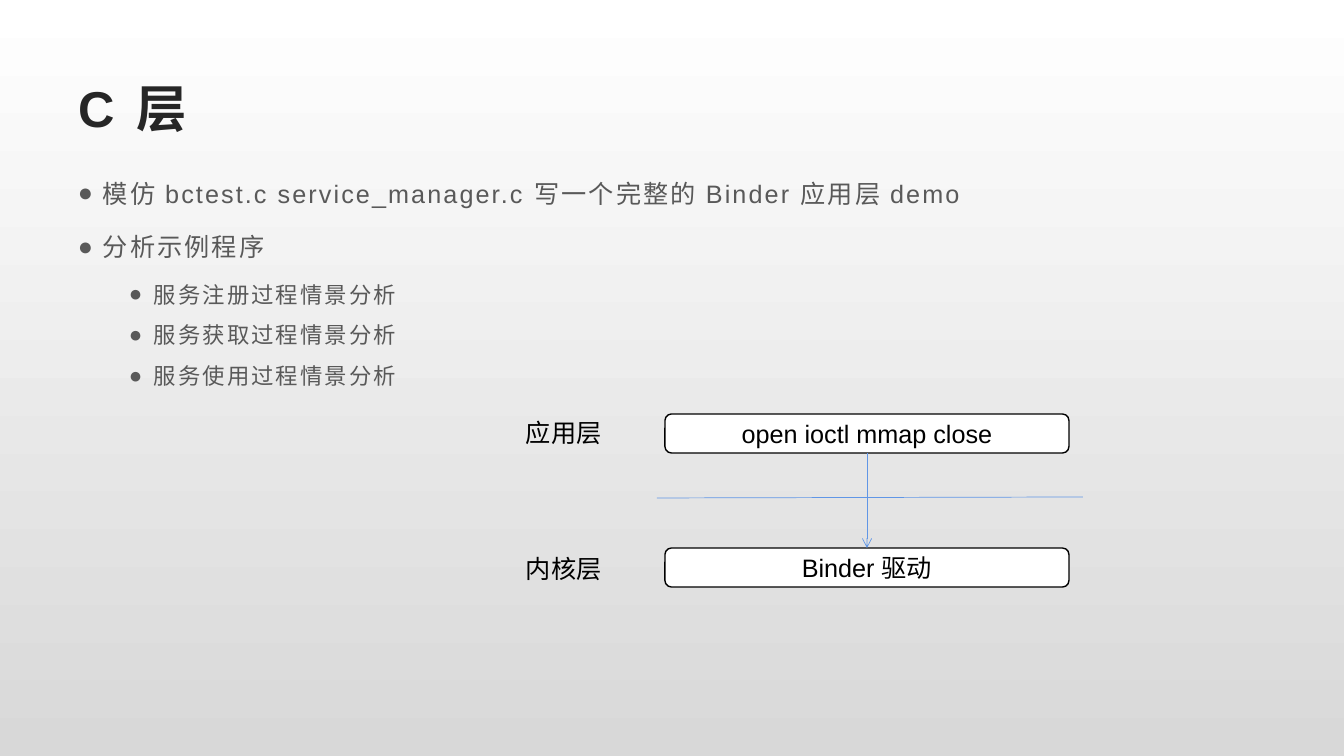
from lxml.etree import SubElement
from pptx import Presentation
from pptx.dml.color import RGBColor
from pptx.enum.shapes import MSO_CONNECTOR as Connector, MSO_SHAPE as Shape
from pptx.enum.text import MSO_ANCHOR as Anchor, MSO_AUTO_SIZE as AutoSize, PP_ALIGN as Align
from pptx.oxml.ns import qn
from pptx.util import Pt

TITLE = "C 层"
BULLETS = [
    (0, "模仿 bctest.c service_manager.c 写一个完整的 Binder 应用层 demo"),
    (0, "分析示例程序"),
    (1, "服务注册过程情景分析"),
    (1, "服务获取过程情景分析"),
    (1, "服务使用过程情景分析"),
]
# level: font size, line spacing, space after, left margin in px
LEVELS = {0: (18, 1.3, 10, 25), 1: (16, 1.2, 6, 76)}
HANGING = 25
# label, box text, label top, box top
LAYERS = [
    ("应用层", "open ioctl mmap close", 412, 414),
    ("内核层", "Binder 驱动", 548, 548),
]
LABEL_LEFT, LABEL_WIDTH, LABEL_HEIGHT = 516, 97, 40
BOX_LEFT, BOX_WIDTH, BOX_HEIGHT = 665, 404, 39
BOUNDARY = (657, 498, 1083, 497)

WHITE = RGBColor(0xFF, 0xFF, 0xFF)
BLACK = RGBColor(0, 0, 0)
SHADE = RGBColor(0xD8, 0xD8, 0xD8)
TITLE_COLOR = RGBColor(0x26, 0x26, 0x26)
BODY_COLOR = RGBColor(0x59, 0x59, 0x59)
LINE_COLOR = RGBColor(0x60, 0x96, 0xE6)
FONT = "Arial"
EMU_PER_PX = 914400 / 100.8


def px(*lengths):
    return [round(length * EMU_PER_PX) for length in lengths]


def write(paragraph, text, size=18, color=BLACK, bold=False, spacing=0, align=Align.LEFT):
    """Add a formatted run; spacing is the letter spacing in points."""
    paragraph.alignment = align
    run = paragraph.add_run()
    run.text = text
    font = run.font
    font.name, font.size, font.bold = FONT, Pt(size), bold
    font.color.rgb = color
    if spacing:
        run._r.get_or_add_rPr().set("spc", str(round(spacing * 100)))


def add_bullet(paragraph, level):
    size, paragraph.line_spacing, after, margin = LEVELS[level]
    paragraph.level = level
    paragraph.space_before, paragraph.space_after = Pt(0), Pt(after)
    properties = paragraph._p.get_or_add_pPr()
    left, indent = px(margin, -HANGING)
    properties.set("marL", str(left))
    properties.set("indent", str(indent))
    SubElement(properties, qn("a:buFont"), typeface=FONT)
    SubElement(properties, qn("a:buChar"), char="●")
    return size


def add_line(slide, *ends):
    line = slide.shapes.add_connector(Connector.STRAIGHT, *px(*ends))
    line.line.color.rgb = LINE_COLOR
    line.line.width = Pt(0.5)
    SubElement(line._element.spPr, qn("a:effectLst"))
    return line


def add_title(slide):
    title = slide.shapes.title
    title.left, title.top, title.width, title.height = px(68, 68, 1210, 78)
    frame = title.text_frame
    frame.auto_size = AutoSize.NONE
    frame.vertical_anchor = Anchor.MIDDLE
    write(frame.paragraphs[0], TITLE, size=36, color=TITLE_COLOR, bold=True, spacing=3)


def add_body(slide):
    frame = slide.shapes.add_textbox(*px(68, 164, 1210, 524)).text_frame
    frame.word_wrap = True
    for index, (level, text) in enumerate(BULLETS):
        paragraph = frame.add_paragraph() if index else frame.paragraphs[0]
        size = add_bullet(paragraph, level)
        write(paragraph, text, size=size, color=BODY_COLOR, spacing=1.5)


def add_box(slide, text, top):
    box = slide.shapes.add_shape(
        Shape.ROUNDED_RECTANGLE, *px(BOX_LEFT, top, BOX_WIDTH, BOX_HEIGHT))
    box.shadow.inherit = False
    box.fill.solid()
    box.fill.fore_color.rgb = WHITE
    box.line.color.rgb = BLACK
    box.line.width = Pt(1)
    box.text_frame.vertical_anchor = Anchor.MIDDLE
    write(box.text_frame.paragraphs[0], text, align=Align.CENTER)
    return box


def add_diagram(slide):
    add_line(slide, *BOUNDARY)
    boxes = []
    for label, text, label_top, box_top in LAYERS:
        boxes.append(add_box(slide, text, box_top))
        frame = slide.shapes.add_textbox(
            *px(LABEL_LEFT, label_top, LABEL_WIDTH, LABEL_HEIGHT)).text_frame
        frame.word_wrap = True
        write(frame.paragraphs[0], label)
    application, kernel = boxes
    arrow = add_line(slide, 0, 0, 0, 0)
    arrow.begin_connect(application, 2)
    arrow.end_connect(kernel, 0)
    SubElement(arrow.line._get_or_add_ln(), qn("a:tailEnd"), type="arrow")


def main():
    presentation = Presentation()
    presentation.slide_width, presentation.slide_height = px(1344, 756)
    slide = presentation.slides.add_slide(presentation.slide_layouts[5])
    background = slide.background.fill
    background.gradient()
    background.gradient_angle = 270
    for stop, color in zip(background.gradient_stops, (WHITE, SHADE)):
        stop.color.rgb = color
    add_title(slide)
    add_body(slide)
    add_diagram(slide)
    presentation.save("out.pptx")


if __name__ == "__main__":
    main()
